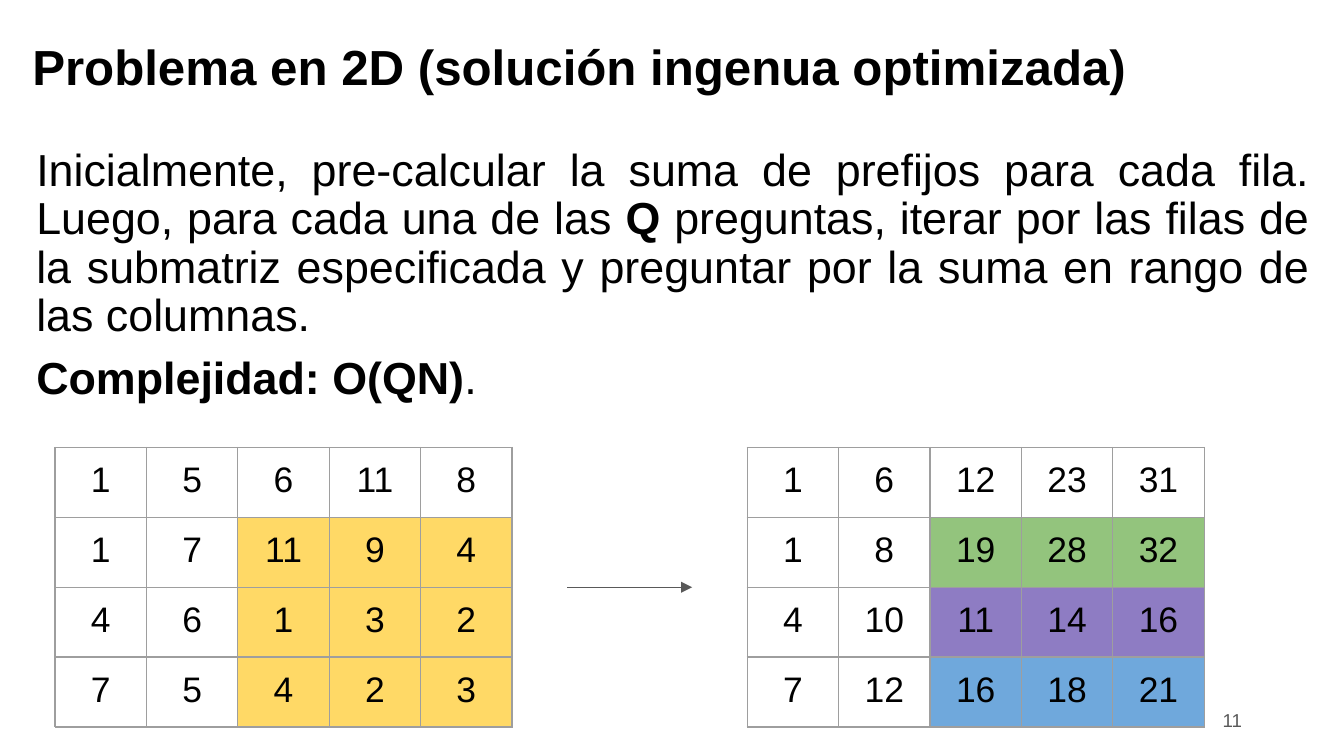
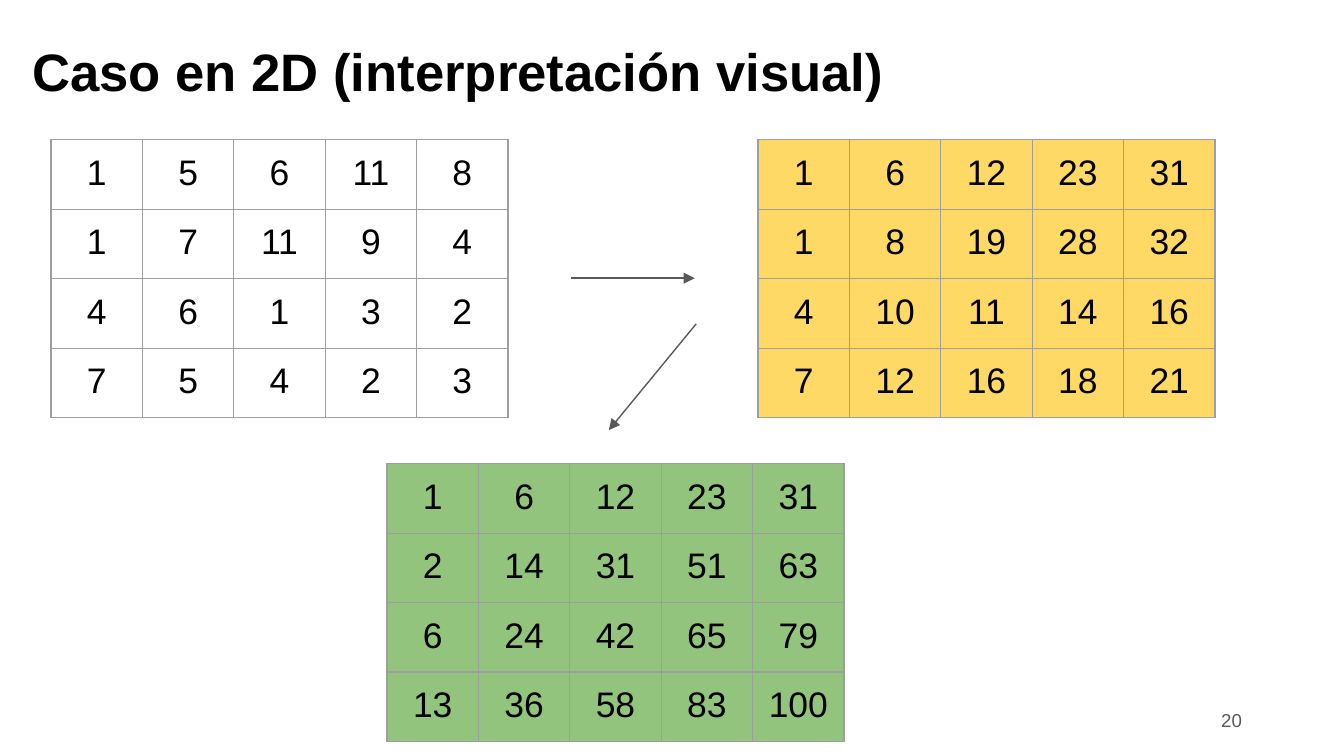
import itertools

import pptx
import pptx.dml.color
import pptx.enum.shapes
import pptx.enum.text
import pptx.oxml
import pptx.oxml.ns
import pptx.util

Inches = pptx.util.Inches
Pt = pptx.util.Pt
ALIGN = pptx.enum.text.PP_ALIGN
ANCHOR = pptx.enum.text.MSO_ANCHOR
NS = pptx.oxml.ns.nsdecls("a")

FONT = "Arial"
COLORS = {
    "text": "000000",
    "gray": "595959",
    "grid": "9E9E9E",
    "gold": "FFD966",
    "green": "93C47D",
    "plum": "8E7CC3",
    "blue": "6FA8DC",
}
COL = 0.68

BASE = [
    [1, 5, 6, 11, 8],
    [1, 7, 11, 9, 4],
    [4, 6, 1, 3, 2],
    [7, 5, 4, 2, 3],
]
ROWS = [list(itertools.accumulate(row)) for row in BASE]
SUMS = list(zip(*[itertools.accumulate(col) for col in zip(*ROWS)]))

INTRO = [
    ("Inicialmente, pre-calcular la suma de prefijos para cada fila. "
     "Luego, para cada una de las ", False),
    ("Q", True),
    (" preguntas, iterar por las filas de la submatriz especificada "
     "y preguntar por la suma en rango de las columnas.", False),
]
COST = [("Complejidad: O(QN)", True), (".", False)]


def rgb(name):
    return pptx.dml.color.RGBColor.from_string(COLORS[name])


def place(shape, box):
    shape.left, shape.top, shape.width, shape.height = map(Inches, box)


def inset(frame, side, edge):
    frame.margin_left = frame.margin_right = Inches(side)
    frame.margin_top = frame.margin_bottom = Inches(edge)


def style(para, size, align, color="text"):
    para.alignment = align
    for run in para.runs:
        run.font.name = FONT
        run.font.size = Pt(size)
        run.font.color.rgb = rgb(color)


def add_title(slide, box, text, size):
    title = slide.shapes.title
    place(title, box)
    frame = title.text_frame
    frame.text = text
    frame.auto_size = pptx.enum.text.MSO_AUTO_SIZE.NONE
    frame.vertical_anchor = ANCHOR.MIDDLE
    inset(frame, 0.07, 0.04)
    para = frame.paragraphs[0]
    para.line_spacing = 0.9
    style(para, size, ALIGN.LEFT)
    para.runs[0].font.bold = True


def add_number(slide, box, number):
    shape = slide.shapes.add_textbox(*map(Inches, box))
    frame = shape.text_frame
    frame.word_wrap = True
    frame.text = str(number)
    frame.vertical_anchor = ANCHOR.MIDDLE
    inset(frame, 0.07, 0.04)
    style(frame.paragraphs[0], 10, ALIGN.RIGHT, "gray")


def add_body(slide, box, paras):
    body = slide.placeholders[1]
    place(body, box)
    frame = body.text_frame
    frame.auto_size = pptx.enum.text.MSO_AUTO_SIZE.NONE
    frame.vertical_anchor = ANCHOR.TOP
    inset(frame, 0.1, 0.1)
    for index, parts in enumerate(paras):
        para = frame.add_paragraph() if index else frame.paragraphs[0]
        para.line_spacing = 0.9
        para.space_before = Pt(8)
        for text, bold in parts:
            run = para.add_run()
            run.text = text
            run.font.bold = bold
        style(para, 24, ALIGN.JUSTIFY)
        props = para._p.get_or_add_pPr()
        props.set("marL", "0")
        props.set("indent", "0")
        props.append(pptx.oxml.parse_xml(f"<a:buNone {NS}/>"))


def add_border(cell):
    props = cell._tc.get_or_add_tcPr()
    for side in "LRTB":
        props.append(pptx.oxml.parse_xml(
            f'<a:ln{side} {NS} w="{Pt(0.75)}"><a:solidFill>'
            f'<a:srgbClr val="{COLORS["grid"]}"/>'
            f"</a:solidFill></a:ln{side}>"))


def add_grid(slide, left, top, data, high, fills, start=0):
    box = (left, top, COL * len(data[0]), high * len(data))
    frame = slide.shapes.add_table(len(data), len(data[0]), *map(Inches, box))
    table = frame.table
    table.first_row = table.horz_banding = False
    for col in table.columns:
        col.width = Inches(COL)
    for r, (row, fill) in enumerate(zip(data, fills)):
        table.rows[r].height = Inches(high)
        for c, value in enumerate(row):
            cell = table.cell(r, c)
            cell.text = str(value)
            inset(cell, 0.1, 0.1)
            style(cell.text_frame.paragraphs[0], 19, ALIGN.CENTER)
            add_border(cell)
            if fill and c >= start:
                cell.fill.solid()
                cell.fill.fore_color.rgb = rgb(fill)
            else:
                cell.fill.background()


def add_arrow(slide, *ends):
    kind = pptx.enum.shapes.MSO_CONNECTOR.STRAIGHT
    arrow = slide.shapes.add_connector(kind, *map(Inches, ends))
    arrow.line.color.rgb = rgb("gray")
    arrow.line.width = Pt(0.75)
    line = arrow.line._get_or_add_ln()
    line.append(pptx.oxml.parse_xml(f'<a:tailEnd {NS} type="triangle"/>'))
    arrow._element.spPr.append(pptx.oxml.parse_xml(f"<a:effectLst {NS}/>"))


def new_slide(deck, layout, box, title, size, number):
    slide = deck.slides.add_slide(deck.slide_layouts[layout])
    add_title(slide, box, title, size)
    add_number(slide, (7.06, 5.21, 2.25, 0.3), number)
    return slide


def naive_slide(deck):
    slide = new_slide(deck, 1, (0.17, 0.28, 8.86, 0.48),
                      "Problema en 2D (solución ingenua optimizada)", 26.4, 11)
    add_body(slide, (0.17, 1, 9.67, 2.33), [INTRO, COST])
    top, high = 3.33, 0.52
    add_grid(slide, 0.41, top, BASE, high, [None] + ["gold"] * 3, 2)
    add_grid(slide, 5.56, top, ROWS, high, [None, "green", "plum", "blue"], 2)
    add_arrow(slide, 4.22, 4.37, 5.15, 4.37)


def visual_slide(deck):
    slide = new_slide(deck, 5, (0.17, 0.28, 8.69, 0.55),
                      "Caso en 2D (interpretación visual)", 28.2, 20)
    top, high = 1.04, 0.49
    add_grid(slide, 0.38, top, BASE, high, [None] * 4)
    add_arrow(slide, 4.25, 2.07, 5.17, 2.07)
    add_grid(slide, 5.64, top, ROWS, high, ["gold"] * 4)
    add_grid(slide, 2.88, 3.45, SUMS, high, ["green"] * 4)
    add_arrow(slide, 5.18, 2.41, 4.53, 3.2)


def main():
    deck = pptx.Presentation()
    deck.slide_width = Inches(10)
    deck.slide_height = deck.slide_width * 9 // 16
    naive_slide(deck)
    visual_slide(deck)
    deck.save("out.pptx")


if __name__ == "__main__":
    main()
